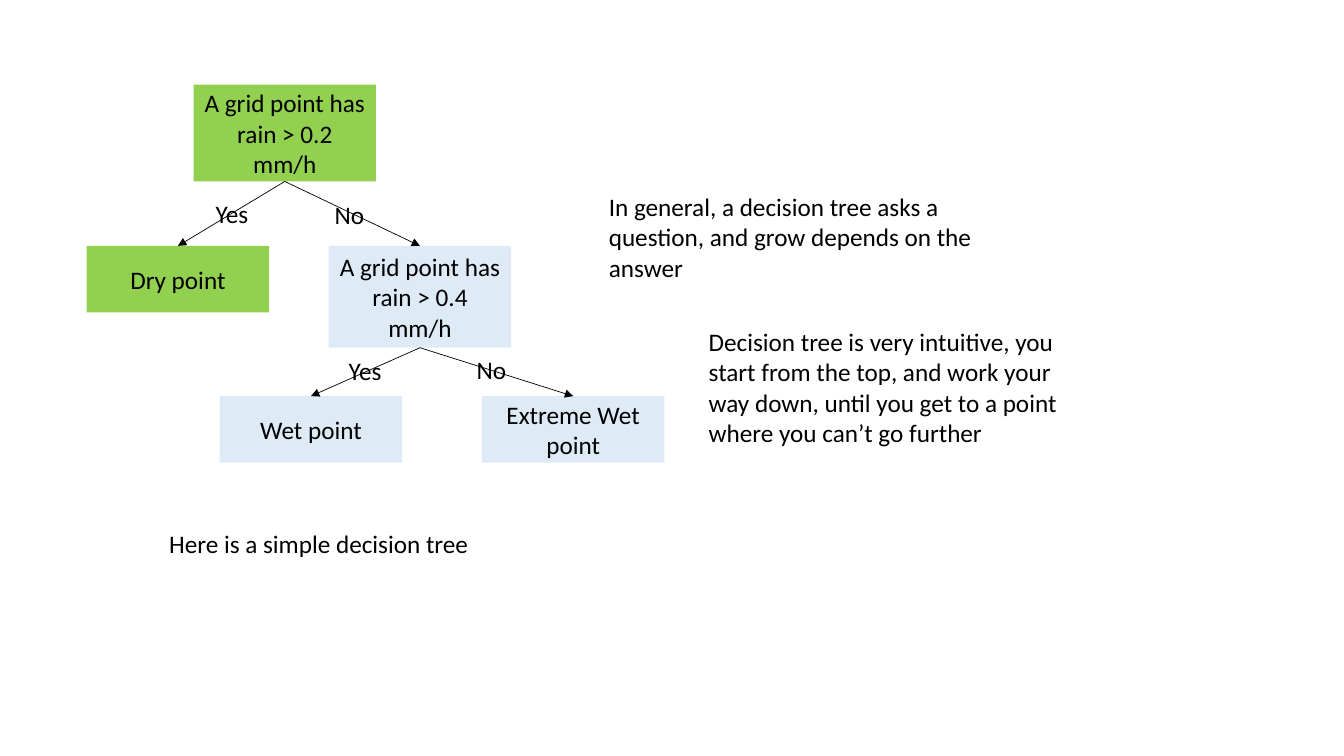
from lxml.etree import SubElement
from pptx import Presentation
from pptx.dml.color import RGBColor
from pptx.enum.shapes import MSO_CONNECTOR, MSO_SHAPE
from pptx.enum.text import MSO_ANCHOR, MSO_AUTO_SIZE, PP_ALIGN
from pptx.oxml.ns import qn
from pptx.util import Inches, Pt


def color(hex_string):
    return RGBColor.from_string(hex_string)


def write(shape, text, alignment, frame_format):
    for name, value in frame_format.items():
        setattr(shape.text_frame, name, value)
    paragraph = shape.text_frame.paragraphs[0]
    paragraph.text = text
    paragraph.alignment = alignment
    for name, value in {"name": "Calibri", "size": Pt(18)}.items():
        setattr(paragraph.font, name, value)
    paragraph.font.color.rgb = color("000000")


presentation = Presentation()
presentation.slide_width = Inches(13.33)
presentation.slide_height = Inches(7.5)
column = presentation.slide_width / 100
row = presentation.slide_height / 100
slide = presentation.slides.add_slide(presentation.slide_layouts[6])

GREEN, BLUE = "92D050", "DEEBF7"
NODE_WIDTH, LEAF_HEIGHT = 13.58, 8.8
LEAF_TOP, BRANCH_TOP = 52.4, 32.53
nodes = {
    "rain": ("A grid point has rain > 0.2 mm/h", 14.4, 11.2, 12.8, GREEN),
    "dry": ("Dry point", 6.45, BRANCH_TOP, LEAF_HEIGHT, GREEN),
    "heavy rain": ("A grid point has rain > 0.4 mm/h", 24.46, BRANCH_TOP, 13.47, BLUE),
    "wet": ("Wet point", 16.35, LEAF_TOP, LEAF_HEIGHT, BLUE),
    "extreme": ("Extreme Wet point", 35.86, LEAF_TOP, LEAF_HEIGHT, BLUE),
}
boxes = {}
for key, (text, left, top, height, fill) in nodes.items():
    box = slide.shapes.add_shape(
        MSO_SHAPE.RECTANGLE,
        int(left * column), int(top * row), int(NODE_WIDTH * column), int(height * row),
    )
    box.shadow.inherit = False
    box.fill.solid()
    box.fill.fore_color.rgb = color(fill)
    box.line.fill.background()
    write(box, text, PP_ALIGN.CENTER, {"word_wrap": True, "vertical_anchor": MSO_ANCHOR.MIDDLE})
    boxes[key] = box

branches = [("rain", "dry"), ("rain", "heavy rain"), ("heavy rain", "wet"), ("heavy rain", "extreme")]
for parent, child in branches:
    arrow = slide.shapes.add_connector(MSO_CONNECTOR.STRAIGHT, 0, 0, 0, 0)
    arrow.begin_connect(boxes[parent], 2)
    arrow.end_connect(boxes[child], 0)
    arrow.line.color.rgb = color("000000")
    arrow.line.width = Pt(0.5)
    SubElement(arrow.line._get_or_add_ln(), qn("a:tailEnd"), type="triangle")
    SubElement(arrow._element.spPr, qn("a:effectLst"))

LABEL_HEIGHT, NOTE_WIDTH = 5.33, 29.33
YES_WIDTH, NO_WIDTH = 3.98, 3.75
texts = [
    ("Yes", 15.3, 25.6, YES_WIDTH, LABEL_HEIGHT, False),
    ("No", 24.16, 25.73, NO_WIDTH, LABEL_HEIGHT, False),
    ("Yes", 25.21, 46.4, YES_WIDTH, LABEL_HEIGHT, False),
    ("No", 34.73, 46.27, NO_WIDTH, LABEL_HEIGHT, False),
    ("Here is a simple decision tree", 11.85, 69.2, 24.08, LABEL_HEIGHT, False),
    ("In general, a decision tree asks a question, and grow depends on the answer",
     44.56, 24.67, NOTE_WIDTH, 13.47, True),
    ("Decision tree is very intuitive, you start from the top, and work your way down, "
     "until you get to a point where you can’t go further",
     51.99, 42.53, NOTE_WIDTH, 17.47, True),
]
for text, left, top, width, height, wrap in texts:
    text_box = slide.shapes.add_textbox(
        int(left * column), int(top * row), int(width * column), int(height * row)
    )
    write(text_box, text, PP_ALIGN.LEFT,
          {"word_wrap": wrap, "auto_size": MSO_AUTO_SIZE.SHAPE_TO_FIT_TEXT})

presentation.save("out.pptx")
